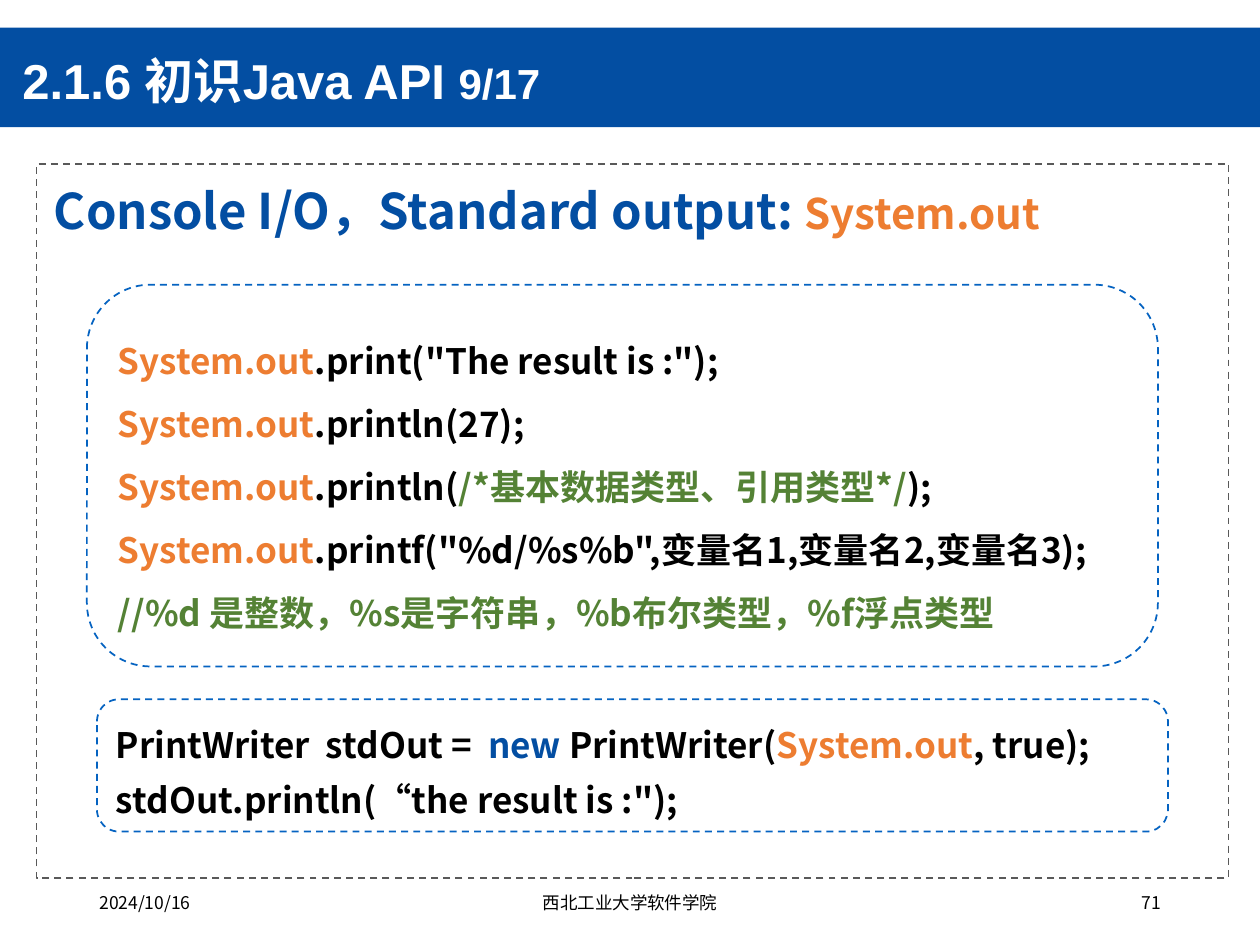
from lxml.etree import SubElement
from pptx import Presentation
from pptx.dml.color import RGBColor
from pptx.enum.dml import MSO_LINE
from pptx.enum.shapes import MSO_SHAPE
from pptx.enum.text import MSO_ANCHOR, PP_ALIGN
from pptx.oxml.ns import qn
from pptx.util import Pt

COLORS = {
    "blue": "034EA2",
    "border": "0563C1",
    "gray": "595959",
    "orange": "ED7D31",
    "green": "548235",
    "black": "000000",
    "white": "FFFFFF",
}
CJK_FONT = "Noto Sans CJK SC"


def rgb(name):
    return RGBColor.from_string(COLORS[name])


class SlideBuilder:
    def __init__(self, slide):
        self.slide = slide

    def band(self, *bounds):
        band = self.slide.shapes.add_shape(MSO_SHAPE.RECTANGLE, *map(Pt, bounds))
        band.shadow.inherit = False
        band.fill.solid()
        band.fill.fore_color.rgb = rgb("blue")
        band.line.fill.background()

    def dashed_frame(self, bounds, color, preset=MSO_SHAPE.RECTANGLE):
        frame = self.slide.shapes.add_shape(preset, *map(Pt, bounds))
        frame.shadow.inherit = False
        frame.fill.background()
        frame.line.color.rgb = rgb(color)
        frame.line.width = Pt(1)
        frame.line.dash_style = MSO_LINE.DASH
        return frame

    def code_panel(self, bounds, lines, spacing):
        panel = self.dashed_frame(bounds, "border", MSO_SHAPE.ROUNDED_RECTANGLE)
        panel.text_frame.word_wrap = False
        panel.text_frame.vertical_anchor = MSO_ANCHOR.MIDDLE
        self.add_lines(panel.text_frame, lines, 20, spacing=spacing, hanging=36)

    def text(self, bounds, runs, size, anchor=MSO_ANCHOR.TOP, **style):
        box = self.slide.shapes.add_textbox(*map(Pt, bounds))
        box.text_frame.word_wrap = True
        box.text_frame.vertical_anchor = anchor
        self.add_lines(box.text_frame, [runs], size, **style)

    def add_lines(self, frame, lines, size, font=CJK_FONT, bold=True,
                  spacing=1.0, align=PP_ALIGN.LEFT, hanging=0):
        for index, runs in enumerate(lines):
            paragraph = frame.add_paragraph() if index else frame.paragraphs[0]
            paragraph.alignment = align
            paragraph.line_spacing = spacing
            if hanging:
                properties = paragraph._p.get_or_add_pPr()
                properties.set("marL", str(int(Pt(hanging))))
                properties.set("indent", str(-int(Pt(hanging))))
            paragraph.font.name = font
            paragraph.font.bold = bold
            SubElement(paragraph.font._rPr, qn("a:ea"), typeface=CJK_FONT)
            for content, color, *own_size in runs:
                run = paragraph.add_run()
                run.text = content
                run.font.color.rgb = rgb(color)
                run.font.size = Pt(own_size[0] if own_size else size)


def main():
    presentation = Presentation()
    presentation.slide_width, presentation.slide_height = Pt(720), Pt(540)
    builder = SlideBuilder(presentation.slides.add_slide(presentation.slide_layouts[6]))

    builder.band(0, 15.84, 720, 56.88)
    builder.dashed_frame((20.88, 93.6, 681.12, 408.24), "gray")
    builder.text(
        (23.76, 96.48, 675.36, 400.32),
        [("Console I/O，Standard output: ", "blue"), ("System.out", "orange", 24)],
        28, spacing=1.1,
    )
    builder.text(
        (5.76, 23.76, 529.2, 47.52),
        [("2.1.6 初识Java API ", "white"), ("9/17", "white", 24)],
        28, MSO_ANCHOR.MIDDLE, font="Arial", spacing=0.9,
    )

    output = ("System.out", "orange")
    builder.code_panel((49.68, 162.72, 612, 218.16), [
        [output, ('.print("The result is :");', "black")],
        [output, (".println(27);", "black")],
        [output, (".println(", "black"),
         ("/*基本数据类型、引用类型*/", "green"), (");", "black")],
        [output, ('.printf("%d/%s%b",变量名1,变量名2,变量名3);', "black")],
        [("//%d 是整数，%s是字符串，%b布尔类型，%f浮点类型", "green")],
    ], 1.5)
    builder.code_panel((55.44, 399.6, 612, 75.6), [
        [("PrintWriter  stdOut =  ", "black"), ("new ", "blue"),
         ("PrintWriter(", "black"), output, (", true);", "black")],
        [('stdOut.println(“the result is :");', "black")],
    ], 1.3)

    for left, width, label, align in (
        (49.68, 162, "2024/10/16", PP_ALIGN.LEFT),
        (238.32, 243.36, "西北工业大学软件学院", PP_ALIGN.CENTER),
        (508.32, 162, "71", PP_ALIGN.RIGHT),
    ):
        builder.text((left, 506.16, width, 28.8), [(label, "black")], 10,
                     bold=False, align=align)

    presentation.save("out.pptx")


if __name__ == "__main__":
    main()
